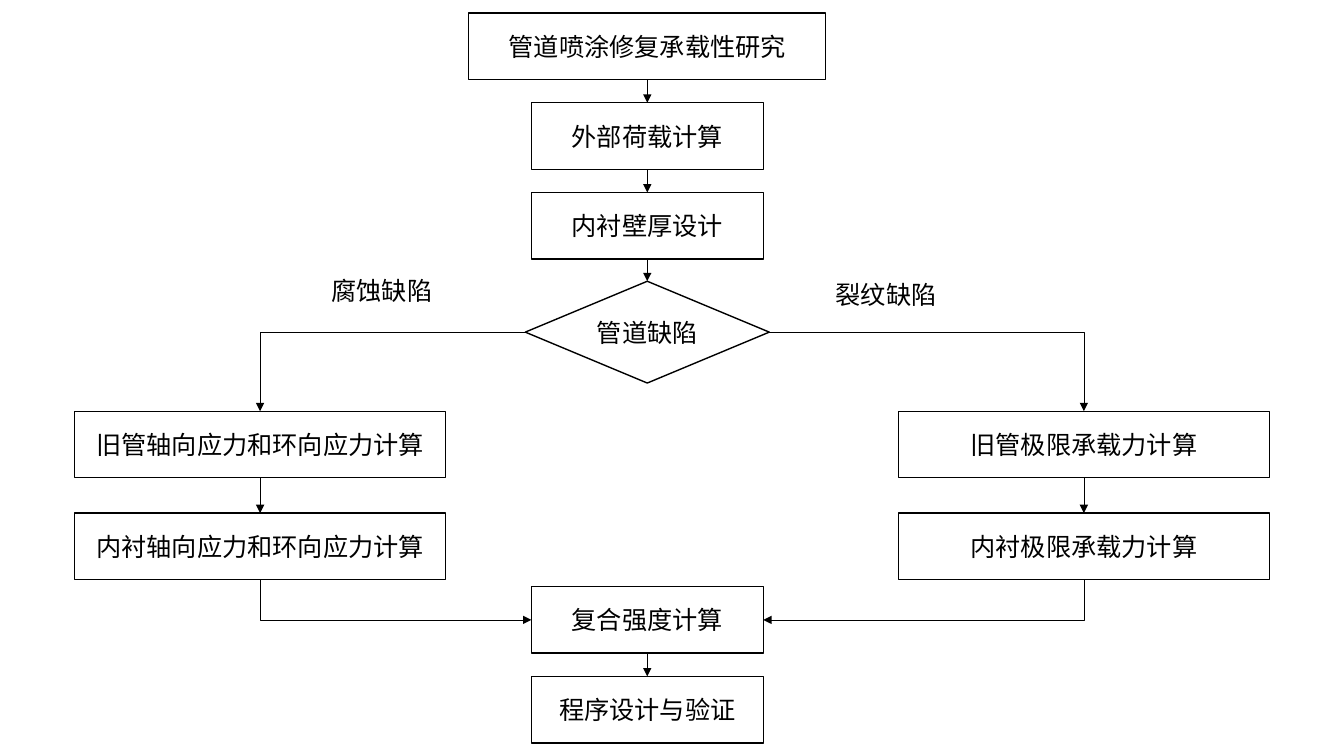
"""Flow chart of the study of load capacity in spray-lined pipes."""
import pptx
import pptx.util
import pptx.dml.color
import pptx.enum.shapes
import pptx.enum.text
import pptx.oxml.ns
import lxml.etree

Inches = pptx.util.Inches
Pt = pptx.util.Pt
Kind = pptx.enum.shapes.MSO_SHAPE
Link = pptx.enum.shapes.MSO_CONNECTOR
Text = pptx.enum.text
qn = pptx.oxml.ns.qn
HUES = {name: pptx.dml.color.RGBColor.from_string(hue)
        for name, hue in {"ink": "000000", "paper": "FFFFFF"}.items()}

deck = pptx.Presentation()
deck.slide_width, deck.slide_height = Inches(13.33), Inches(7.5)
slide = deck.slides.add_slide(deck.slide_layouts[6])


def write(frame, words, align):
    """Put one run of words in a text frame."""
    frame.word_wrap = True
    line = frame.paragraphs[0]
    line.alignment = align
    run = line.add_run()
    run.text = words
    run.font.size = Pt(18)
    run.font.name = "Calibri"
    run.font.color.rgb = HUES["ink"]


MID, LEFT, RIGHT = 6.42, 2.58, 10.75
HIGH = 0.66
STEPS = [
    ("study", "管道喷涂修复承载性研究", MID, 0.13, 3.54, HIGH),
    ("load", "外部荷载计算", MID, 1.02, 2.3, HIGH),
    ("wall", "内衬壁厚设计", MID, 1.91, 2.3, HIGH),
    ("flaw", "管道缺陷", MID, 2.79, 2.42, 1.01),
    ("old left", "旧管轴向应力和环向应力计算", LEFT, 4.08, 3.68, HIGH),
    ("new left", "内衬轴向应力和环向应力计算", LEFT, 5.09, 3.68, HIGH),
    ("old right", "旧管极限承载力计算", RIGHT, 4.08, 3.68, HIGH),
    ("new right", "内衬极限承载力计算", RIGHT, 5.09, 3.68, HIGH),
    ("join", "复合强度计算", MID, 5.82, 2.3, HIGH),
    ("test", "程序设计与验证", MID, 6.71, 2.3, HIGH),
]
nodes = {}
for name, words, mid, top, wide, high in STEPS:
    kind = Kind.FLOWCHART_DECISION if name == "flaw" else Kind.FLOWCHART_PROCESS
    node = slide.shapes.add_shape(
        kind, Inches(mid - wide / 2), Inches(top), Inches(wide), Inches(high))
    node.shadow.inherit = False
    node.fill.solid()
    node.fill.fore_color.rgb = HUES["paper"]
    node.line.color.rgb = HUES["ink"]
    node.line.width = Pt(1)
    node.text_frame.vertical_anchor = Text.MSO_ANCHOR.MIDDLE
    write(node.text_frame, words, Text.PP_ALIGN.CENTER)
    nodes[name] = node

TOP, WEST, BASE, EAST = range(4)
LINKS = [
    ("study", BASE, "load", TOP),
    ("load", BASE, "wall", TOP),
    ("wall", BASE, "flaw", TOP),
    ("flaw", WEST, "old left", TOP),
    ("flaw", EAST, "old right", TOP),
    ("old left", BASE, "new left", TOP),
    ("old right", BASE, "new right", TOP),
    ("new left", BASE, "join", WEST),
    ("new right", BASE, "join", EAST),
    ("join", BASE, "test", TOP),
]
for start, out, end, into in LINKS:
    bent = (out, into) != (BASE, TOP)
    link = slide.shapes.add_connector(
        Link.ELBOW if bent else Link.STRAIGHT, 0, 0, 0, 0)
    link.begin_connect(nodes[start], out)
    link.end_connect(nodes[end], into)
    link.line.color.rgb = HUES["ink"]
    link.line.width = Pt(0.5)
    props = link.element.spPr
    if bent:
        props.find(qn("a:prstGeom")).set("prst", "bentConnector2")
    if bent and out == BASE:
        back = link.begin_x > link.end_x
        wide, high = link.width, link.height
        link.left += (wide - high) // 2
        link.top += (high - wide) // 2
        link.width, link.height = high, wide
        link.rotation = 90 if back else 270
        props.find(qn("a:xfrm")).set("flipH", "0" if back else "1")
    tip = lxml.etree.SubElement(props.find(qn("a:ln")), qn("a:tailEnd"))
    tip.set("type", "triangle")
    lxml.etree.SubElement(props, qn("a:effectLst"))

for words, left, top in [("腐蚀缺陷", 3.19, 2.68), ("裂纹缺陷", 8.19, 2.72)]:
    label = slide.shapes.add_textbox(
        Inches(left), Inches(top), Inches(1.46), Inches(0.4))
    label.text_frame.auto_size = Text.MSO_AUTO_SIZE.SHAPE_TO_FIT_TEXT
    write(label.text_frame, words, Text.PP_ALIGN.LEFT)

deck.save("out.pptx")
